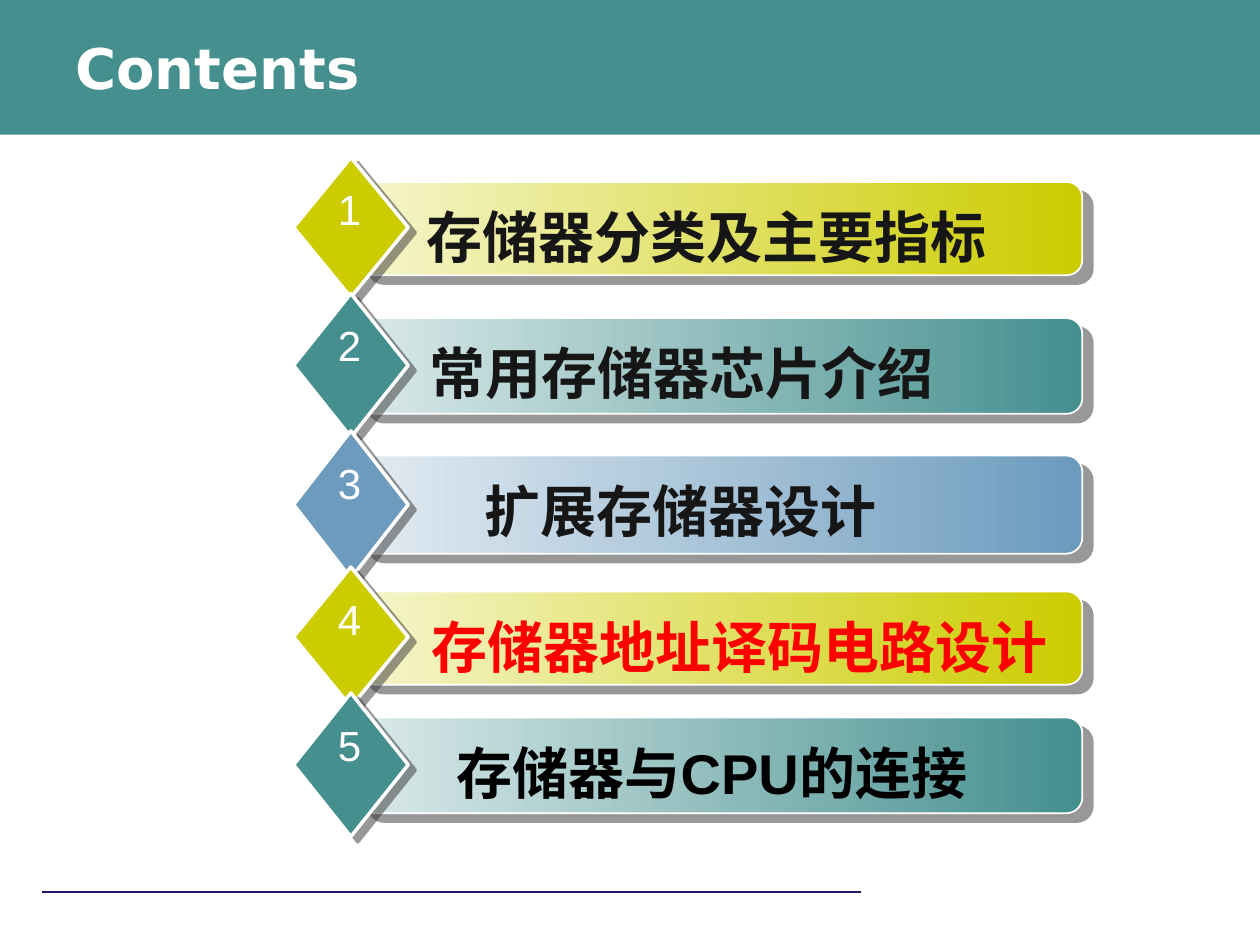
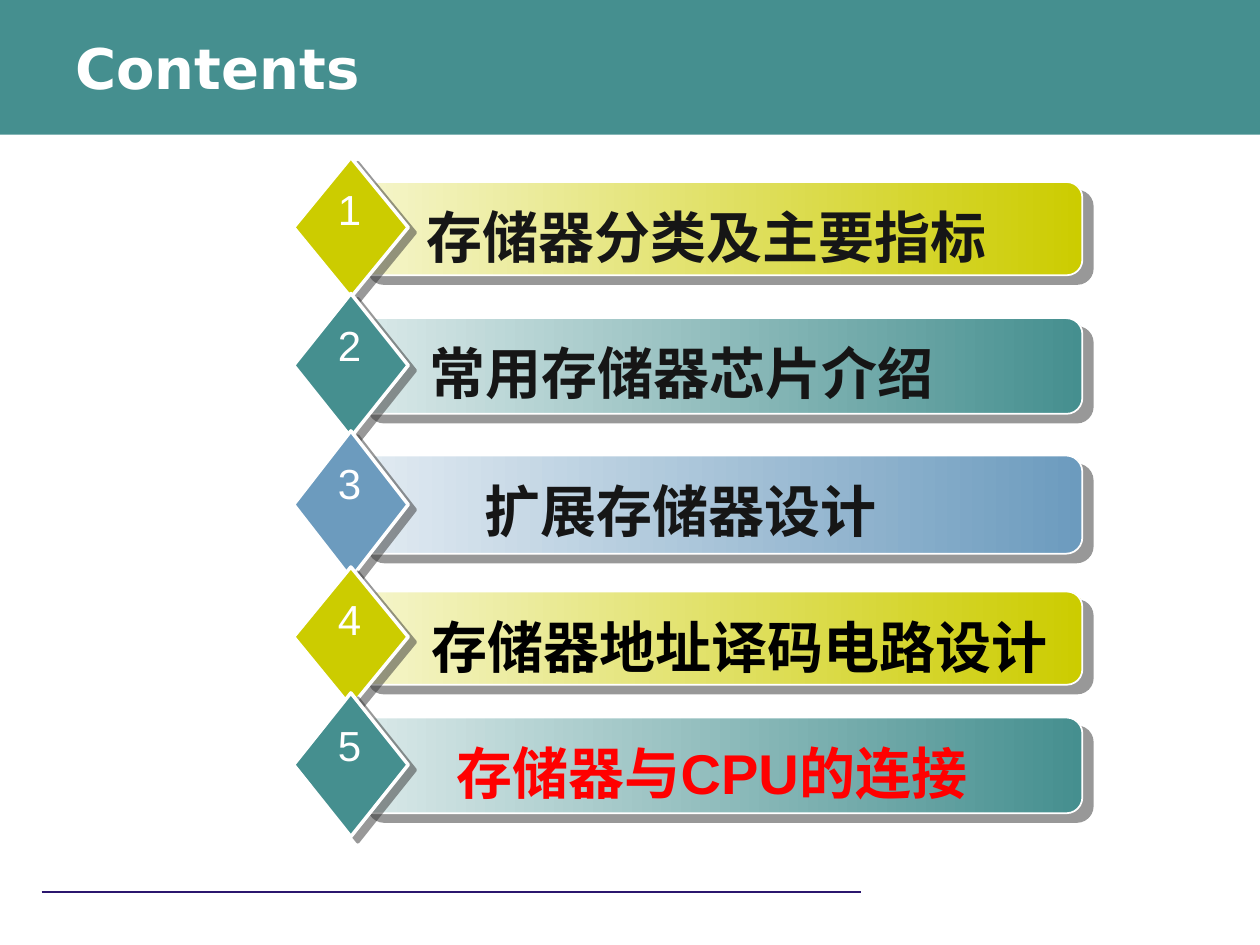
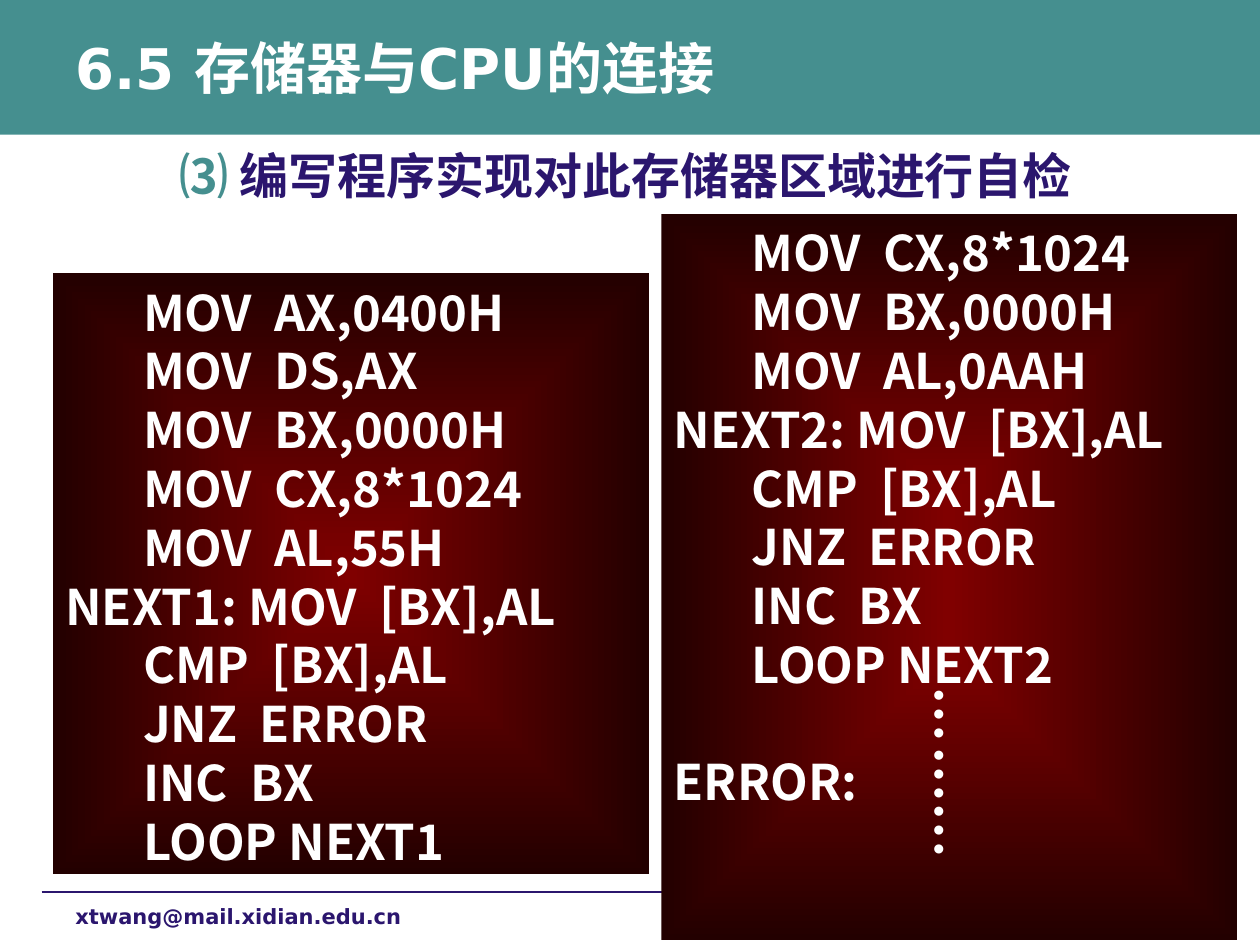
from dataclasses import dataclass

from lxml.etree import SubElement
from pptx import Presentation
from pptx.dml.color import RGBColor
from pptx.enum.shapes import MSO_CONNECTOR as Link, MSO_SHAPE as Preset
from pptx.enum.text import MSO_ANCHOR as Anchor, PP_ALIGN as Align
from pptx.oxml.ns import qn
from pptx.util import Inches, Pt


@dataclass(frozen=True)
class Theme:
    teal: str = "458F8F"
    olive: str = "CCCC00"
    blue: str = "6C9BBE"
    pale_teal: str = "DAE9E9"
    pale_olive: str = "F5F5CC"
    pale_blue: str = "E2EBF2"
    navy: str = "2B166E"
    white: str = "FFFFFF"
    ink: str = "161616"
    black: str = "000000"
    red: str = "FF0000"
    glow: str = "800000"
    dusk: str = "230000"
    shade: str = "333333"
    display: str = "DejaVu Sans"
    label: str = "Arial"
    chinese: str = "Noto Sans CJK SC"
    serif: str = "Times New Roman"
    large: int = 32
    medium: int = 28
    number: int = 24
    small: int = 12


THEME = Theme()
WIDTH, HEIGHT = Inches(10), Inches(7.5)
COLUMNS, ROWS = 100, 75
CODE_PITCH = 1.2
CHINESE_PITCH = 1.27
INDENT = " " * 7


@dataclass(frozen=True)
class Box:
    col: float
    row: float
    cols: float
    rows: float

    def inner(self, col, row, cols, rows):
        return Box(self.col + col, self.row + row, cols, rows)

    def place(self):
        return (int(self.col * WIDTH / COLUMNS), int(self.row * HEIGHT / ROWS),
                int(self.cols * WIDTH / COLUMNS), int(self.rows * HEIGHT / ROWS))


PAGE = Box(0, 0, COLUMNS, ROWS)


def apply(target, **formats):
    for name, value in formats.items():
        setattr(target, name, value)


def write(paragraph, words, size, color, font, bold=True, chinese=THEME.chinese):
    run = paragraph.add_run()
    run.text = words
    apply(run.font, size=Pt(size), bold=bold, name=font)
    run.font.color.rgb = RGBColor.from_string(color)
    SubElement(run.font._element, qn("a:ea"), typeface=chinese)


def add_text(slide, box, runs, align=Align.LEFT, side=0.1, anchor=Anchor.TOP, pitch=None):
    text = slide.shapes.add_textbox(*box.place())
    frame = text.text_frame
    apply(frame, word_wrap=True, vertical_anchor=anchor,
          margin_left=Inches(side), margin_right=Inches(side))
    paragraph = frame.paragraphs[0]
    apply(paragraph, alignment=align, line_spacing=pitch)
    for run in runs:
        write(paragraph, **run)
    return text


def add_block(slide, preset, box, colors, border=None):
    block = slide.shapes.add_shape(preset, *box.place())
    block.shadow.inherit = False
    if len(colors) == 1:
        block.fill.solid()
        block.fill.fore_color.rgb = RGBColor.from_string(colors[0])
    else:
        block.fill.gradient()
        block.fill.gradient_angle = 0
        for stop, color in zip(block.fill.gradient_stops, colors):
            stop.color.rgb = RGBColor.from_string(color)
    if border:
        block.line.width = Pt(border)
        block.line.color.rgb = RGBColor.from_string(THEME.white)
    else:
        block.line.fill.background()
    return block


def cast_shadow(block, distance, degrees):
    effects = block._element.spPr.find(qn("a:effectLst"))
    shadow = SubElement(effects, qn("a:outerShdw"), dist=str(Pt(distance)),
                        dir=str(degrees * 60000), algn="ctr", rotWithShape="0")
    color = SubElement(shadow, qn("a:srgbClr"), val=THEME.shade)
    SubElement(color, qn("a:alpha"), val="50000")


def radiate(block):
    gradient = block._element.spPr.find(qn("a:gradFill"))
    gradient.remove(gradient.find(qn("a:lin")))
    spread = SubElement(gradient, qn("a:path"), path="shape")
    SubElement(spread, qn("a:fillToRect"), l="50000", t="50000", r="50000", b="50000")


def add_frame(deck, title):
    slide = deck.slides.add_slide(deck.slide_layouts[6])
    add_block(slide, Preset.RECTANGLE, PAGE.inner(0, 0, COLUMNS, 10.7), [THEME.teal])
    left, top, width, _ = PAGE.inner(3.3, 70.8, 65, 0).place()
    rule = slide.shapes.add_connector(Link.STRAIGHT, left, top, left + width, top)
    rule.line.width = Pt(0.75)
    rule.line.color.rgb = RGBColor.from_string(THEME.navy)
    SubElement(rule._element.spPr, qn("a:effectLst"))
    heading = dict(words=title, size=THEME.large, color=THEME.white, font=THEME.display)
    add_text(slide, PAGE.inner(5, 2.2, 63.3, 6.2), [heading], anchor=Anchor.MIDDLE)
    return slide


OLIVE = (THEME.pale_olive, THEME.olive)
TEAL = (THEME.pale_teal, THEME.teal)
BLUE = (THEME.pale_blue, THEME.blue)

TOPICS = [
    ("存储器分类及主要指标", OLIVE, THEME.ink, 12.5, 11.1, 32.8),
    ("常用存储器芯片介绍", TEAL, THEME.ink, 23.3, 11.4, 30.8),
    ("扩展存储器设计", BLUE, THEME.ink, 34.2, 11.7, 30.7),
    ("存储器地址译码电路设计", OLIVE, THEME.black, 45, 11.1, 35.4),
    ("存储器与CPU的连接", TEAL, THEME.black, 55, 11.4, 33.2),
]


def add_topic(slide, box, number, topic, gradient, color, center):
    bar = add_block(slide, Preset.ROUNDED_RECTANGLE,
                    box.inner(5.1, 1.95, 57.5, box.rows * 2 / 3), gradient, 1)
    cast_shadow(bar, 7.8, 40)
    diamond = add_block(slide, Preset.DIAMOND, box.inner(0, 0, 9.1, box.rows), gradient[1:], 2)
    cast_shadow(diamond, 5, 37)
    label = dict(words=topic, size=THEME.large, color=color, font=THEME.label)
    add_text(slide, box.inner(center - 26, 2.8, 52, 6.4), [label], Align.CENTER, 0,
             pitch=Pt(THEME.large * CHINESE_PITCH))
    digit = dict(words=str(number), size=THEME.number, color=THEME.white,
                 font=THEME.label, bold=False)
    add_text(slide, box.inner(2.1, 1.6, 4.7, 5.1), [digit], Align.CENTER, 0)


def add_contents(deck, current):
    slide = add_frame(deck, "Contents")
    for number, (topic, gradient, color, row, rows, center) in enumerate(TOPICS, 1):
        add_topic(slide, PAGE.inner(23.3, row, 62.6, rows), number, topic, gradient,
                  THEME.red if number == current else color, center)


FILL_TEST = [
    INDENT + "MOV  AX,0400H",
    INDENT + "MOV  DS,AX",
    INDENT + "MOV  BX,0000H",
    INDENT + "MOV  CX,8*1024",
    INDENT + "MOV  AL,55H",
    "NEXT1: MOV  [BX],AL",
    INDENT + "CMP  [BX],AL",
    INDENT + "JNZ  ERROR",
    INDENT + "INC  BX",
    INDENT + "LOOP NEXT1",
]
INVERSE_TEST = [
    INDENT + "MOV  CX,8*1024",
    INDENT + "MOV  BX,0000H",
    INDENT + "MOV  AL,0AAH",
    "NEXT2: MOV  [BX],AL",
    INDENT + "CMP  [BX],AL",
    INDENT + "JNZ  ERROR",
    INDENT + "INC  BX",
    INDENT + "LOOP NEXT2",
    "ERROR:",
]


def add_code(slide, box, lines):
    panel = add_block(slide, Preset.RECTANGLE, box, [THEME.glow, THEME.dusk])
    radiate(panel)
    frame = panel.text_frame
    apply(frame, word_wrap=True, vertical_anchor=Anchor.TOP, margin_top=Inches(0.07))
    pitch = Pt(THEME.medium * CODE_PITCH)
    for index, line in enumerate(lines):
        paragraph = frame.add_paragraph() if index else frame.paragraphs[0]
        apply(paragraph, alignment=Align.JUSTIFY, line_spacing=pitch)
        if line == "ERROR:":
            paragraph.space_before = pitch
        write(paragraph, line, THEME.medium, THEME.white, THEME.chinese)


def add_dots(slide, box, dots):
    run = dict(words=dots, size=THEME.large, color=THEME.white,
               font=THEME.serif, chinese=THEME.serif)
    add_text(slide, box, [run], Align.CENTER, 0).rotation = 90


def add_self_test(deck):
    slide = add_frame(deck, "6.5 存储器与CPU的连接")
    address = dict(words="xtwang@mail.xidian.edu.cn", size=THEME.small,
                   color=THEME.navy, font=THEME.display)
    add_text(slide, PAGE.inner(5, 71.2, 29.2, 3.8), [address])
    task = [
        dict(words="⑶ ", size=THEME.medium, color=THEME.teal, font=THEME.display),
        dict(words="编写程序实现对此存储器区域进行自检", size=THEME.medium,
             color=THEME.navy, font=THEME.chinese),
    ]
    add_text(slide, PAGE.inner(13.3, 10.8, 76.7, 6), task,
             pitch=Pt(THEME.medium * CHINESE_PITCH))
    add_code(slide, PAGE.inner(4.2, 21.7, 47.3, 47.7), FILL_TEST)
    inverse = PAGE.inner(52.5, 17, 45.7, 57.6)
    add_code(slide, inverse, INVERSE_TEST)
    add_dots(slide, inverse.inner(20.2, 36.5, 6.5, 6.4), "…")
    add_dots(slide, inverse.inner(18, 43.5, 11, 6.4), "……")


def main():
    deck = Presentation()
    apply(deck, slide_width=WIDTH, slide_height=HEIGHT)
    for current in (4, 5):
        add_contents(deck, current)
    add_self_test(deck)
    deck.save("out.pptx")


if __name__ == "__main__":
    main()
